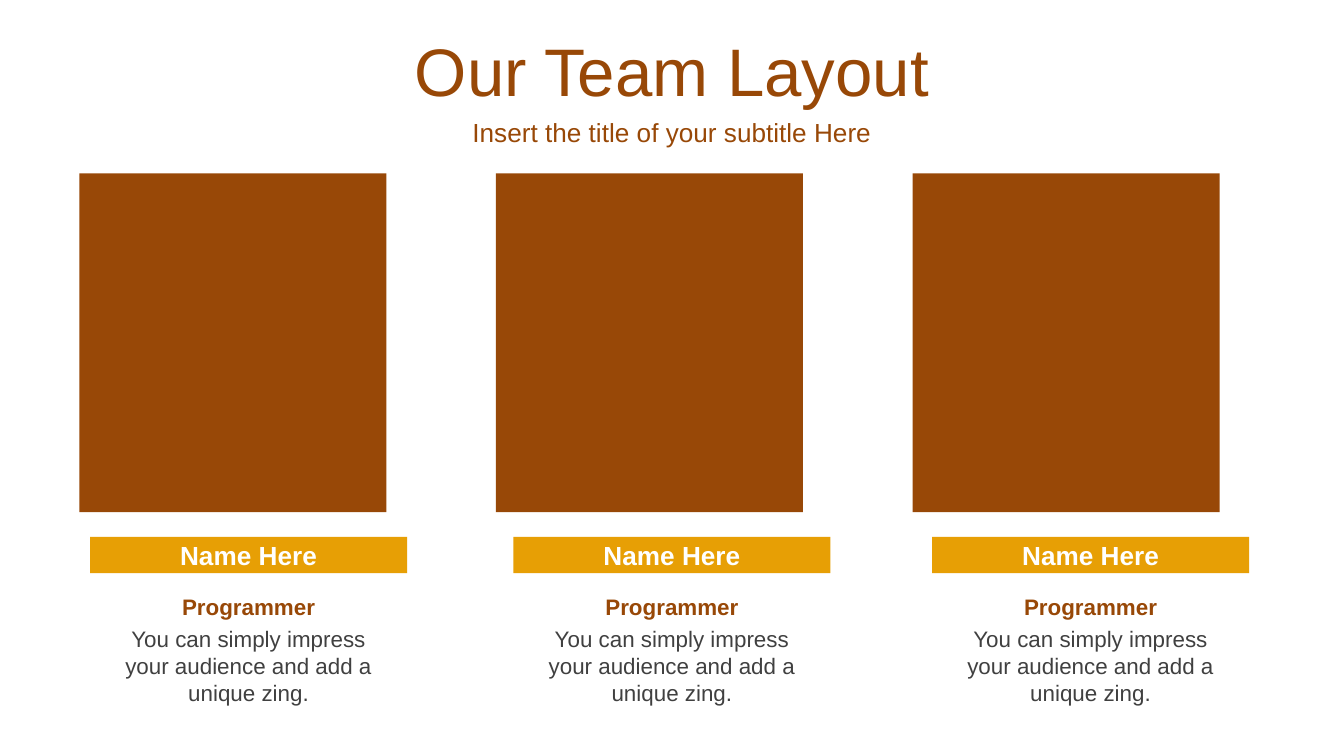
"""Build a team slide with three portrait panels and captions."""
from dataclasses import dataclass

from pptx import Presentation
from pptx import util as u
from pptx.dml.color import RGBColor
from pptx.enum import shapes, text

TITLE = "Our Team Layout"
SUBTITLE = "Insert the title of your subtitle Here"
BLURB = "You can simply impress your audience and add a unique zing."
MEMBERS = [
    {"name": "Name Here", "role": "Programmer", "blurb": BLURB, "left": 134},
    {"name": "Name Here", "role": "Programmer", "blurb": BLURB, "left": 764},
    {"name": "Name Here", "role": "Programmer", "blurb": BLURB, "left": 1387},
]

PX = u.Inches(1) // 200
WIDTH, HEIGHT = 2000, 1125
PANEL_LEFT, PANEL_PITCH = 118, 620
CAPTION_INSET = 23


@dataclass(frozen=True)
class Theme:
    font: str = "Arial"
    brown: str = "984807"
    amber: str = "E79F05"
    white: str = "FFFFFF"
    grey: str = "404040"
    title: int = 36
    heading: int = 14
    body: int = 12


THEME = Theme()


def scaled(*lengths):
    return [u.Emu(length * PX) for length in lengths]


def write(shape, words, size, colour, bold=False, anchor=text.MSO_ANCHOR.MIDDLE):
    frame = shape.text_frame
    frame.word_wrap = True
    frame.vertical_anchor = anchor
    frame.text = words
    para = frame.paragraphs[0]
    para.alignment = text.PP_ALIGN.CENTER
    font = para.runs[0].font
    font.name = THEME.font
    font.size = u.Pt(size)
    font.bold = bold
    font.color.rgb = RGBColor.from_string(colour)


def add_label(page, place, *style, **options):
    write(page.shapes.add_textbox(*scaled(*place)), *style, **options)


def add_block(page, place, colour):
    block = page.shapes.add_shape(shapes.MSO_SHAPE.RECTANGLE, *scaled(*place))
    block.shadow.inherit = False
    block.fill.solid()
    block.fill.fore_color.rgb = RGBColor.from_string(colour)
    block.line.fill.background()
    return block


def add_member(page, member):
    left = member["left"]
    inner = left + CAPTION_INSET
    bar = add_block(page, (left, 799, 472, 54), THEME.amber)
    write(bar, member["name"], THEME.heading, THEME.white, bold=True)
    add_label(page, (inner, 875, 426, 54), member["role"], THEME.body, THEME.brown, bold=True)
    add_label(page, (inner, 921, 426, 142), member["blurb"], THEME.body, THEME.grey,
              anchor=text.MSO_ANCHOR.TOP)


def main():
    deck = Presentation()
    deck.slide_width, deck.slide_height = scaled(WIDTH, HEIGHT)
    page = deck.slides.add_slide(deck.slide_layouts[6])
    for index in range(len(MEMBERS)):
        add_block(page, (PANEL_LEFT + index * PANEL_PITCH, 258, 457, 504), THEME.brown)
    add_label(page, (0, 40, WIDTH, 126), TITLE, THEME.title, THEME.brown)
    add_label(page, (0, 166, WIDTH, 62), SUBTITLE, THEME.heading, THEME.brown)
    for member in MEMBERS:
        add_member(page, member)
    deck.save("out.pptx")


if __name__ == "__main__":
    main()
